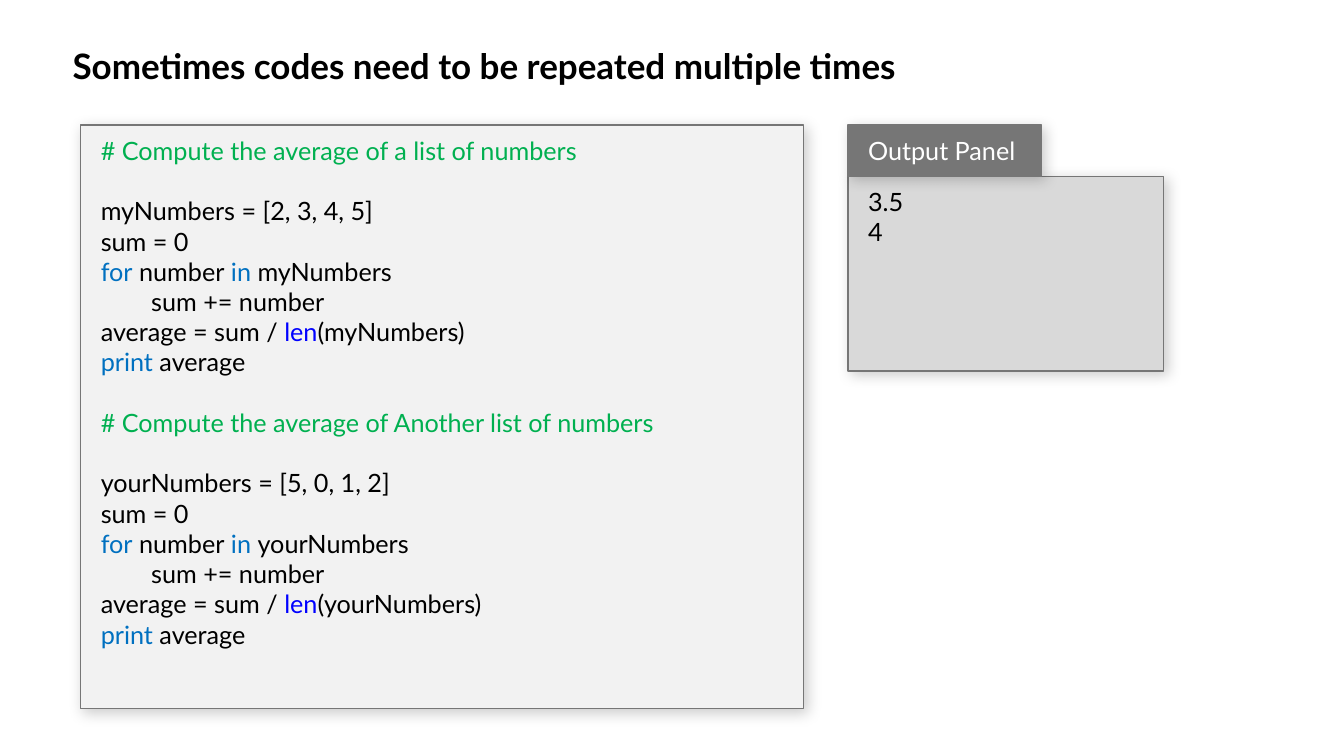
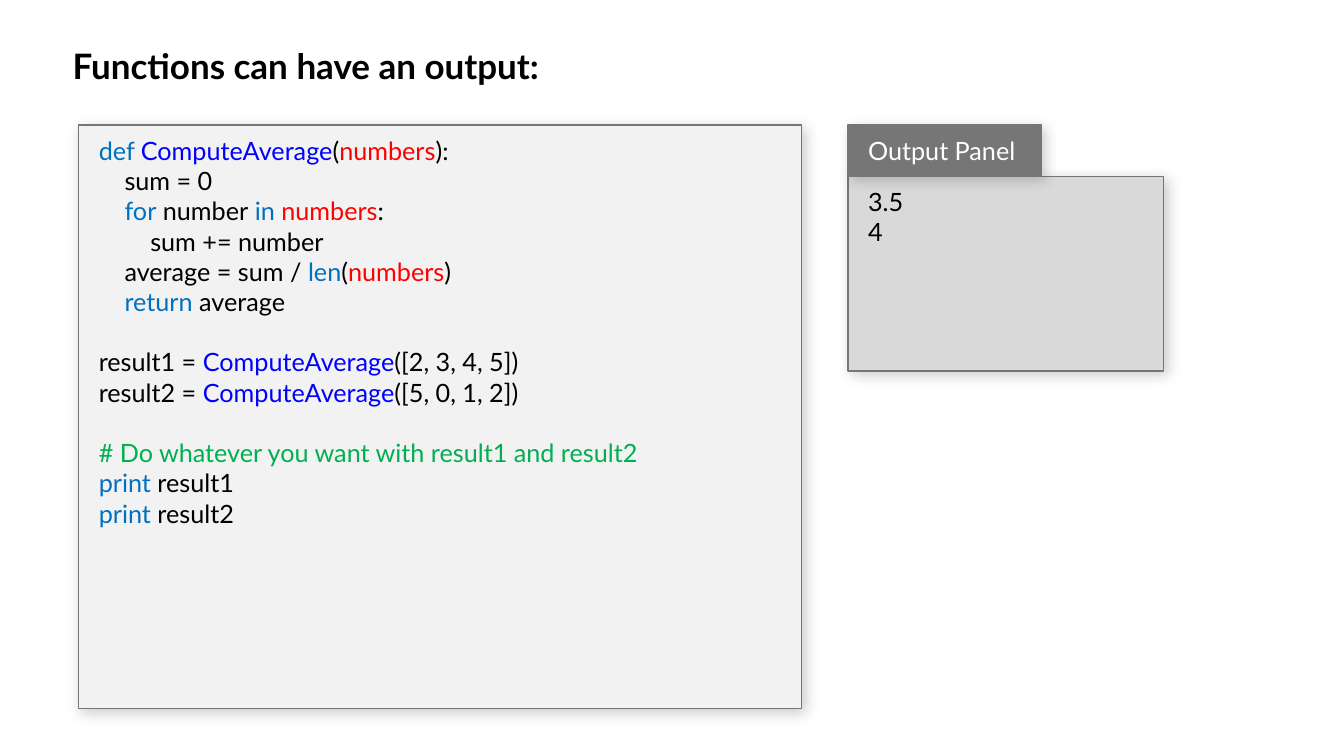
"""Build two slides that compare repeated code with a function."""
from lxml import etree
from pptx import Presentation
from pptx.dml.color import RGBColor
from pptx.enum.shapes import MSO_SHAPE
from pptx.enum.text import MSO_ANCHOR, MSO_AUTO_SIZE, PP_ALIGN
from pptx.oxml import parse_xml
from pptx.oxml.ns import nsdecls, qn
from pptx.util import Inches, Pt

RECTANGLE = MSO_SHAPE.RECTANGLE
TOP = MSO_ANCHOR.TOP
LEFT = PP_ALIGN.LEFT
NO_FIT = MSO_AUTO_SIZE.NONE

FONT = "Lato"
CODE_SIZE = 18
BLANK_LINE = Pt(21.6)
COLOURS = {
    "text": "000000",
    "white": "FFFFFF",
    "comment": "00B050",
    "keyword": "0070C0",
    "function": "0000FF",
    "argument": "FF0000",
    "code_panel": "F2F2F2",
    "output_panel": "D9D9D9",
    "border": "767676",
}


def add_shadow(properties):
    properties.append(parse_xml(
        f'<a:effectLst {nsdecls("a")}>'
        f'<a:outerShdw blurRad="{Pt(10)}" dist="{Pt(3)}" dir="2700000" algn="tl" rotWithShape="0">'
        f'<a:srgbClr val="{COLOURS["text"]}"><a:alpha val="20000"/></a:srgbClr>'
        '</a:outerShdw></a:effectLst>'))


def add_panel(slide, box, fill, lines, text_colour="text"):
    """Draw a panel; an empty line becomes space before the next one."""
    panel = slide.shapes.add_shape(RECTANGLE, *[Inches(length) for length in box])
    panel.fill.solid()
    panel.fill.fore_color.rgb = RGBColor.from_string(COLOURS[fill])
    panel.line.color.rgb = RGBColor.from_string(COLOURS["border"])
    panel.line.width = Pt(1)
    add_shadow(panel._element.spPr)

    frame = panel.text_frame
    frame.word_wrap = True
    frame.vertical_anchor = TOP
    frame.margin_left = frame.margin_right = Inches(0.2)
    frame.margin_top = frame.margin_bottom = Inches(0.1)

    paragraph = frame.paragraphs[0]
    after_blank = False
    for number, line in enumerate(lines):
        if not line:
            after_blank = True
            continue
        if number:
            paragraph = frame.add_paragraph()
        paragraph.alignment = LEFT
        if after_blank:
            paragraph.space_before = BLANK_LINE
            after_blank = False
        if line[0][1].startswith("\t"):
            tabs = etree.SubElement(paragraph._p.get_or_add_pPr(), qn("a:tabLst"))
            etree.SubElement(tabs, qn("a:tab"), pos=str(Inches(0.5)), algn="l")
        paragraph.font.name = FONT
        paragraph.font.size = Pt(CODE_SIZE)
        paragraph.font.color.rgb = RGBColor.from_string(COLOURS[text_colour])
        for role, text in line:
            run = paragraph.add_run()
            run.text = text
            if role != text_colour:
                run.font.color.rgb = RGBColor.from_string(COLOURS[role])


repeated_code = []
for comment, name, values in [
    ("# Compute the average of a list of numbers", "myNumbers", "[2, 3, 4, 5]"),
    ("# Compute the average of Another list of numbers", "yourNumbers", "[5, 0, 1, 2]"),
]:
    if repeated_code:
        repeated_code.append([])
    repeated_code += [
        [("comment", comment)],
        [],
        [("text", f"{name} = {values}")],
        [("text", "sum = 0")],
        [("keyword", "for"), ("text", " number"), ("keyword", " in "), ("text", name)],
        [("text", "\tsum += number")],
        [("text", "average = sum / "), ("function", "len"), ("text", f"({name})")],
        [("keyword", "print"), ("text", " average")],
    ]

function_code = [
    [("keyword", "def "), ("function", "ComputeAverage"), ("text", "("),
     ("argument", "numbers"), ("text", "):")],
    [("text", "    sum = 0")],
    [("text", "    "), ("keyword", "for"), ("text", " number"), ("keyword", " in "),
     ("argument", "numbers"), ("text", ":")],
    [("text", "        sum += number")],
    [("text", "    average = sum / "), ("keyword", "len"), ("text", "("),
     ("argument", "numbers"), ("text", ")")],
    [("text", "    "), ("keyword", "return"), ("text", " average")],
    [],
    [("text", "result1 = "), ("function", "ComputeAverage"), ("text", "([2, 3, 4, 5])")],
    [("text", "result2 = "), ("function", "ComputeAverage"), ("text", "([5, 0, 1, 2])")],
    [],
    [("comment", "# Do whatever you want with result1 and result2")],
    [("keyword", "print"), ("text", " result1")],
    [("keyword", "print"), ("text", " result2")],
]

presentation = Presentation()
presentation.slide_width = Inches(13.33)
presentation.slide_height = Inches(7.5)
title_only = presentation.slide_layouts[5]

for heading, code_left, code in [
    ("Sometimes codes need to be repeated multiple times", 0.8, repeated_code),
    ("Functions can have an output:", 0.78, function_code),
]:
    slide = presentation.slides.add_slide(title_only)
    title = slide.shapes.title
    title.left, title.top = Inches(0.62), Inches(0.39)
    title.width, title.height = Inches(10.92), Inches(0.64)
    title.text_frame.auto_size = NO_FIT
    title.text_frame.vertical_anchor = TOP
    title.text_frame.text = heading
    title_line = title.text_frame.paragraphs[0]
    title_line.alignment = LEFT
    title_line.font.name = FONT
    title_line.font.size = Pt(25)
    title_line.font.bold = True
    title_line.font.color.rgb = RGBColor.from_string(COLOURS["text"])
    add_shadow(title_line.runs[0]._r.get_or_add_rPr())

    add_panel(slide, (code_left, 1.24, 7.17, 5.79), "code_panel", code)
    add_panel(slide, (8.41, 1.75, 3.13, 1.93), "output_panel",
              [[("text", "3.5")], [("text", "4")]])
    add_panel(slide, (8.41, 1.24, 1.92, 0.51), "border",
              [[("white", "Output Panel")]], "white")

presentation.save("out.pptx")
